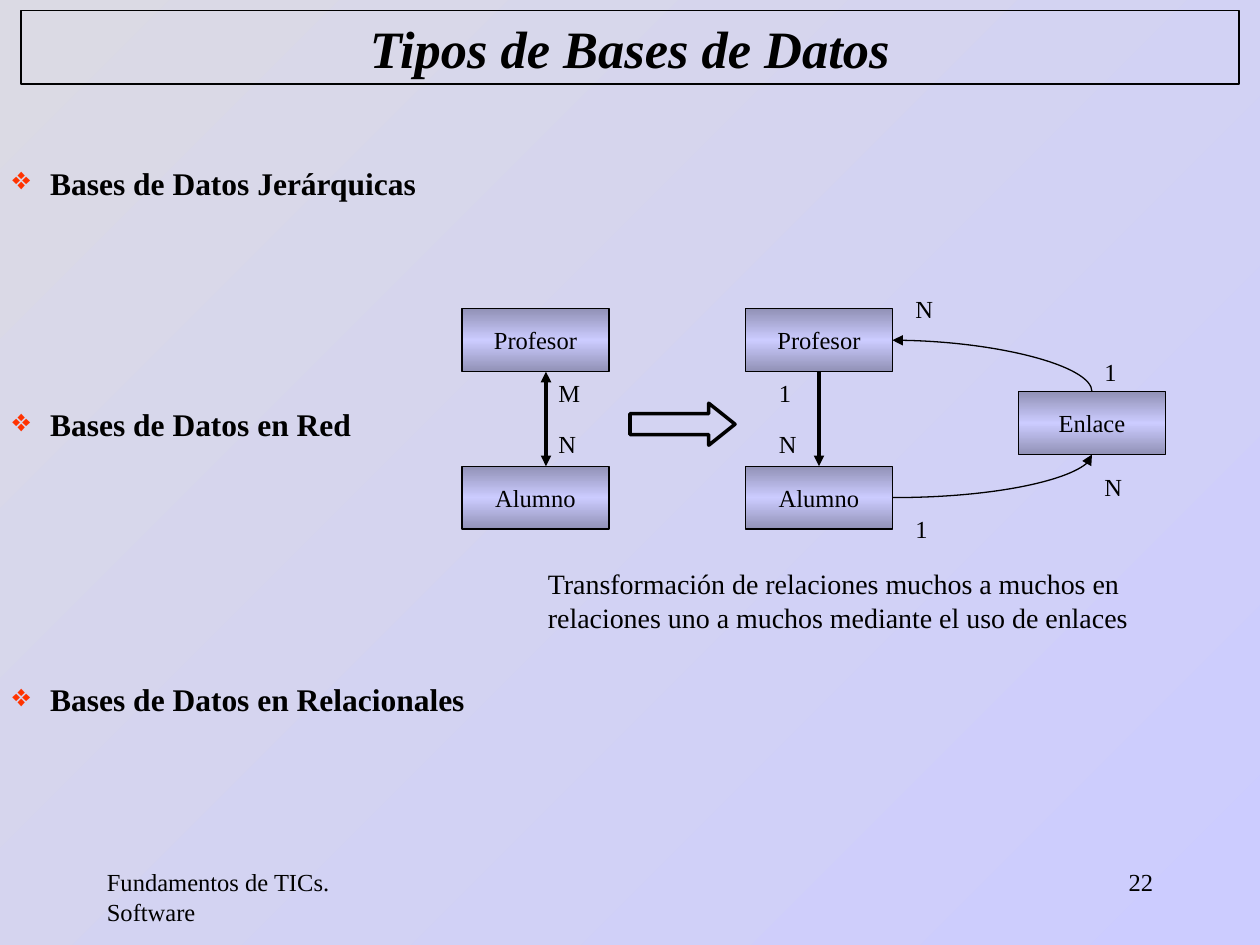
from dataclasses import dataclass
from lxml.etree import SubElement
from pptx import Presentation
from pptx.dml.color import RGBColor
from pptx.enum.shapes import MSO_CONNECTOR, MSO_SHAPE
from pptx.enum.text import MSO_ANCHOR, MSO_AUTO_SIZE, PP_ALIGN
from pptx.oxml.ns import qn
from pptx.util import Inches, Pt


@dataclass(frozen=True)
class Theme:
    font: str = "Times New Roman"
    ink: str = "000000"
    mist: str = "DBDAE4"
    lilac: str = "CCCCFF"
    edge_shade: int = 46275
    bullet: str = "FF3300"
    title_size: int = 30
    item_size: int = 18
    note_size: int = 16
    label_size: int = 14
    thin: float = 0.75
    thick: float = 2


THEME = Theme()
WIDTH, HEIGHT = Inches(10), Inches(7.5)
COLUMNS, ROWS = 120, 90
NODE_WIDTH, NODE_HEIGHT = 14, 6
LEFT_COLUMN, MIDDLE_COLUMN, RIGHT_COLUMN = 44, 71, 97
TOP_ROW, LINK_ROW, BOTTOM_ROW = 29.4, 37.3, 44.4
TOP, RIGHT, BOTTOM = 0, 3, 2


def across(columns):
    return round(WIDTH * columns / COLUMNS)


def down(rows):
    return round(HEIGHT * rows / ROWS)


def area(column, row, columns, rows):
    return across(column), down(row), across(columns), down(rows)


def apply(target, values):
    for name, value in values.items():
        setattr(target, name, value)


def outline(shape, width):
    shape.line.color.rgb = RGBColor.from_string(THEME.ink)
    shape.line.width = Pt(width)


def write(shape, text, size, align=PP_ALIGN.LEFT, frame=None, **font):
    apply(shape.text_frame, {"word_wrap": True, **(frame or {})})
    para = shape.text_frame.paragraphs[0]
    para.alignment = align
    span = para.add_run()
    span.text = text
    apply(span.font, {"name": THEME.font, "size": Pt(size), **font})
    span.font.color.rgb = RGBColor.from_string(THEME.ink)
    return para


def add_text(page, place, text, size, **options):
    box = page.shapes.add_textbox(*area(*place))
    return write(box, text, size, **options)


def add_label(page, column, row, text):
    add_text(page, (column, row, 5, 4), text, THEME.label_size,
             frame={"auto_size": MSO_AUTO_SIZE.SHAPE_TO_FIT_TEXT})


def add_item(page, row, columns, text):
    para = add_text(page, (0, row, columns, 4.8), text, THEME.item_size, bold=True,
                    frame={"auto_size": MSO_AUTO_SIZE.SHAPE_TO_FIT_TEXT})
    properties = para._p.get_or_add_pPr()
    indent = Inches(0.3)
    properties.set("marL", str(indent))
    properties.set("indent", str(-indent))
    color = SubElement(properties, qn("a:buClr"))
    SubElement(color, qn("a:srgbClr"), val=THEME.bullet)
    SubElement(properties, qn("a:buChar"), char="❖")


def shade_node(node):
    node.fill.gradient()
    node.fill.gradient_angle = 270
    stops = node.element.spPr.find(".//" + qn("a:gsLst"))
    for stop in list(stops):
        stops.remove(stop)
    for position in (0, 50, 100):
        stop = SubElement(stops, qn("a:gs"), pos=str(position * 1000))
        color = SubElement(stop, qn("a:srgbClr"), val=THEME.lilac)
        if position != 50:
            SubElement(color, qn("a:shade"), val=str(THEME.edge_shade))


def add_node(page, column, row, text):
    node = page.shapes.add_shape(
        MSO_SHAPE.RECTANGLE, *area(column, row, NODE_WIDTH, NODE_HEIGHT))
    node.shadow.inherit = False
    shade_node(node)
    outline(node, THEME.thin)
    write(node, text, THEME.label_size, align=PP_ALIGN.CENTER,
          frame={"word_wrap": False, "vertical_anchor": MSO_ANCHOR.MIDDLE})
    return node


def finish_connector(connector, width, ends):
    outline(connector, width)
    properties = connector.element.spPr
    line = properties.find(qn("a:ln"))
    for end in ends:
        SubElement(line, qn("a:" + end), type="triangle")
    SubElement(properties, qn("a:effectLst"))


def join(page, kind, start, start_side, finish, finish_side, width, ends):
    connector = page.shapes.add_connector(kind, 0, 0, 0, 0)
    connector.begin_connect(start, start_side)
    connector.end_connect(finish, finish_side)
    if kind == MSO_CONNECTOR.CURVE:
        connector.element.spPr.find(qn("a:prstGeom")).set("prst", "curvedConnector2")
    finish_connector(connector, width, ends)


def add_double_arrow(page, column, start_row, end_row):
    connector = page.shapes.add_connector(
        MSO_CONNECTOR.STRAIGHT, across(column), down(start_row), across(column), down(end_row))
    finish_connector(connector, THEME.thick, ("headEnd", "tailEnd"))


def add_block_arrow(page, place):
    arrow = page.shapes.add_shape(MSO_SHAPE.RIGHT_ARROW, *area(*place))
    arrow.adjustments[0] = 0.5
    arrow.adjustments[1] = 0.625
    arrow.shadow.inherit = False
    arrow.fill.background()
    outline(arrow, THEME.thick)


def set_background(page):
    fill = page.background.fill
    fill.gradient()
    fill.gradient_angle = 315
    for stop, color in zip(fill.gradient_stops, (THEME.mist, THEME.lilac)):
        stop.color.rgb = RGBColor.from_string(color)


def set_title(page, text):
    title = page.shapes.title
    apply(title, dict(zip(("left", "top", "width", "height"), area(2, 1, 116, 7))))
    outline(title, THEME.thin)
    write(title, text, THEME.title_size, align=PP_ALIGN.CENTER, bold=True, italic=True,
          frame={"vertical_anchor": MSO_ANCHOR.MIDDLE, "auto_size": MSO_AUTO_SIZE.NONE})


def add_diagram(page):
    add_node(page, LEFT_COLUMN, TOP_ROW, "Profesor")
    add_node(page, LEFT_COLUMN, BOTTOM_ROW, "Alumno")
    teacher = add_node(page, MIDDLE_COLUMN, TOP_ROW, "Profesor")
    student = add_node(page, MIDDLE_COLUMN, BOTTOM_ROW, "Alumno")
    link = add_node(page, RIGHT_COLUMN, LINK_ROW, "Enlace")
    add_block_arrow(page, (60, 38.4, 10, 4))
    add_double_arrow(page, 52, TOP_ROW + NODE_HEIGHT, BOTTOM_ROW)
    join(page, MSO_CONNECTOR.STRAIGHT, teacher, BOTTOM, student, TOP, THEME.thick, ["tailEnd"])
    join(page, MSO_CONNECTOR.CURVE, student, RIGHT, link, BOTTOM, THEME.thin, ["tailEnd"])
    join(page, MSO_CONNECTOR.CURVE, teacher, RIGHT, link, TOP, THEME.thin, ["headEnd"])
    for column, row, text in (
        (52, 35.4, "M"), (52, 40.3, "N"), (73, 35.4, "1"), (73, 40.3, "N"),
        (104, 33.4, "1"), (86, 48.4, "1"), (86, 27.4, "N"), (104, 44.4, "N"),
    ):
        add_label(page, column, row, text)
    add_text(page, (51, 53.4, 68, 7.7),
             "Transformación de relaciones muchos a muchos en "
             "relaciones uno a muchos mediante el uso de enlaces", THEME.note_size,
             frame={"auto_size": MSO_AUTO_SIZE.SHAPE_TO_FIT_TEXT})


def main():
    deck = Presentation()
    apply(deck, {"slide_width": WIDTH, "slide_height": HEIGHT})
    page = deck.slides.add_slide(deck.slide_layouts[0])
    subtitle = page.placeholders[1].element
    subtitle.getparent().remove(subtitle)
    set_background(page)
    set_title(page, "Tipos de Bases de Datos")
    add_text(page, (9, 82, 25, 6), "Fundamentos de TICs. Software", THEME.label_size)
    add_text(page, (86, 82, 25, 6), "22", THEME.label_size, align=PP_ALIGN.RIGHT)
    add_diagram(page)
    for row, columns, text in (
        (15, 42, "Bases de Datos Jerárquicas"),
        (38, 42, "Bases de Datos en Red"),
        (64.2, 56, "Bases de Datos en Relacionales"),
    ):
        add_item(page, row, columns, text)
    deck.save("out.pptx")


if __name__ == "__main__":
    main()
